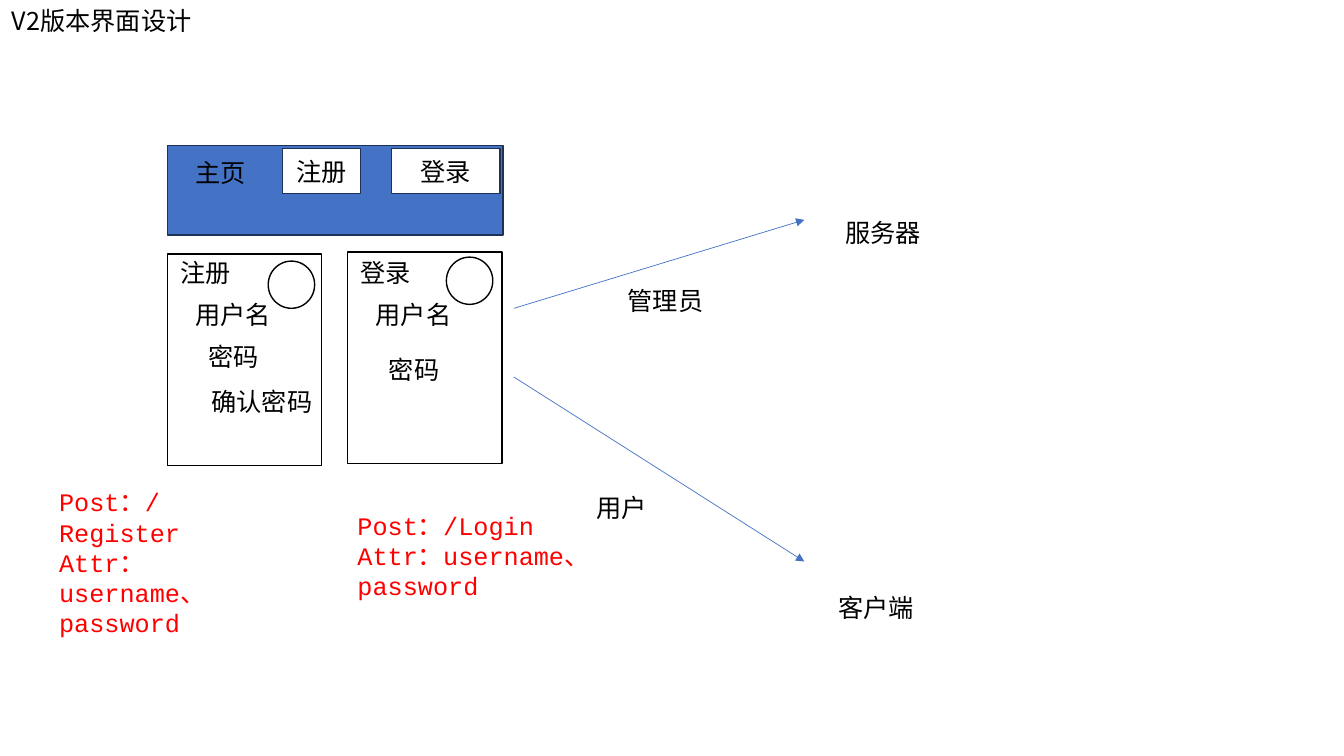
from dataclasses import dataclass

from lxml.etree import SubElement
from pptx import Presentation
from pptx.dml.color import RGBColor
from pptx.enum.shapes import MSO_CONNECTOR, MSO_SHAPE
from pptx.enum.text import MSO_ANCHOR, PP_ALIGN
from pptx.oxml.ns import qn
from pptx.util import Cm, Pt


@dataclass(frozen=True)
class Theme:
    """Colours, fonts and sizes of the slide."""
    ink: str = "000000"
    paper: str = "FFFFFF"
    blue: str = "4472C4"
    navy: str = "1E3256"
    red: str = "FF0000"
    sans: str = "Noto Sans CJK SC"
    mono: str = "Courier New"
    size: float = 18
    edge: float = 1
    thin: float = 0.5


THEME = Theme()


def style(para, face, tint):
    """Set the type of one paragraph."""
    font = para.font
    font.name = face
    font.size = Pt(THEME.size)
    font.color.rgb = RGBColor.from_string(tint)
    props = para._p.get_or_add_pPr().get_or_add_defRPr()
    SubElement(props, qn("a:ea"), typeface=THEME.sans)


def write(slide, box, lines, face=THEME.sans, tint=THEME.ink, wrap=True):
    """Add a text box with one paragraph per line."""
    frame = slide.shapes.add_textbox(*map(Cm, box)).text_frame
    frame.word_wrap = wrap
    frame.text = "\n".join(lines)
    for para in frame.paragraphs:
        style(para, face, tint)


def label(slide, left, top, text):
    """Add a one-line label as wide as its characters."""
    write(slide, (left, top, 0.64 * len(text) + 0.51, 1.02), [text], wrap=False)


def draw(slide, kind, box, fill, line):
    """Add a flat shape with an outline."""
    shape = slide.shapes.add_shape(kind, *map(Cm, box))
    shape.shadow.inherit = False
    if fill:
        shape.fill.solid()
        shape.fill.fore_color.rgb = RGBColor.from_string(fill)
    else:
        shape.fill.background()
    shape.line.color.rgb = RGBColor.from_string(line)
    shape.line.width = Pt(THEME.edge)
    return shape


def button(slide, box, text):
    """Add a white button with a centred caption."""
    shape = draw(slide, MSO_SHAPE.RECTANGLE, box, THEME.paper, THEME.navy)
    frame = shape.text_frame
    frame.vertical_anchor = MSO_ANCHOR.MIDDLE
    frame.text = text
    para = frame.paragraphs[0]
    para.alignment = PP_ALIGN.CENTER
    style(para, THEME.sans, THEME.ink)


def arrow(slide, start, end):
    """Add a thin arrow between two points."""
    line = slide.shapes.add_connector(
        MSO_CONNECTOR.STRAIGHT, *map(Cm, (*start, *end)))
    line.line.color.rgb = RGBColor.from_string(THEME.blue)
    line.line.width = Pt(THEME.thin)
    SubElement(line.line._get_or_add_ln(), qn("a:tailEnd"), type="triangle")
    SubElement(line._element.spPr, qn("a:effectLst"))


def navbar(slide, box):
    """Build the bar with the home label and two buttons."""
    left, top = box[:2]
    draw(slide, MSO_SHAPE.RECTANGLE, box, THEME.blue, THEME.navy)
    label(slide, left + 0.46, top + 0.18, "主页")
    for shift, width, text in ((2.9, 1.96, "注册"), (5.64, 2.74, "登录")):
        button(slide, (left + shift, top + 0.08, width, 1.14), text)


def panel(slide, box, fields, disc):
    """Build a form with its field labels and round button."""
    left, top = box[:2]
    draw(slide, MSO_SHAPE.RECTANGLE, box, None, THEME.ink)
    for right, down, text in fields:
        label(slide, left + right, top + down, text)
    draw(slide, MSO_SHAPE.OVAL, (left + disc[0], top + disc[1], 1.17, 1.19),
         THEME.paper, THEME.ink)


def routes(slide, box):
    """Build the two arrows and the names around them."""
    left, top, width, height = box
    for start, end in ((2.23, 0), (3.96, height)):
        arrow(slide, (left, top + start), (left + width, top + end))
    for right, down, text in ((2.62, 1.52, "管理员"), (1.83, 6.75, "用户"),
                              (8.11, -0.18, "服务器"), (7.93, 9.27, "客户端")):
        label(slide, left + right, top + down, text)


def note(slide, box, route):
    """Add a red request note."""
    lines = [f"Post：/{route}", "Attr：username、password"]
    write(slide, box, lines, THEME.mono, THEME.red)


def main():
    """Build and save the slide."""
    deck = Presentation()
    deck.slide_width, deck.slide_height = Cm(33.87), Cm(19.05)
    slide = deck.slides.add_slide(deck.slide_layouts[6])
    write(slide, (0.05, 0, 6.3, 1.02), ["V2版本界面设计"])
    navbar(slide, (4.22, 3.66, 8.46, 2.26))
    panel(slide, (4.22, 6.4, 3.89, 5.33),
          ((0.08, -0.05, "注册"), (0.46, 1.02, "用户名"),
           (0.79, 2.08, "密码"), (0.86, 3.2, "确认密码")), (2.54, 0.18))
    panel(slide, (8.76, 6.35, 3.89, 5.33),
          ((0.08, 0, "登录"), (0.46, 1.07, "用户名"),
           (0.79, 2.46, "密码")), (2.49, 0.13))
    routes(slide, (12.95, 5.54, 7.32, 8.61))
    note(slide, (8.76, 12.73, 6.38, 2.57), "Login")
    note(slide, (1.24, 12.14, 6.07, 2.57), "Register")
    deck.save("out.pptx")


if __name__ == "__main__":
    main()
